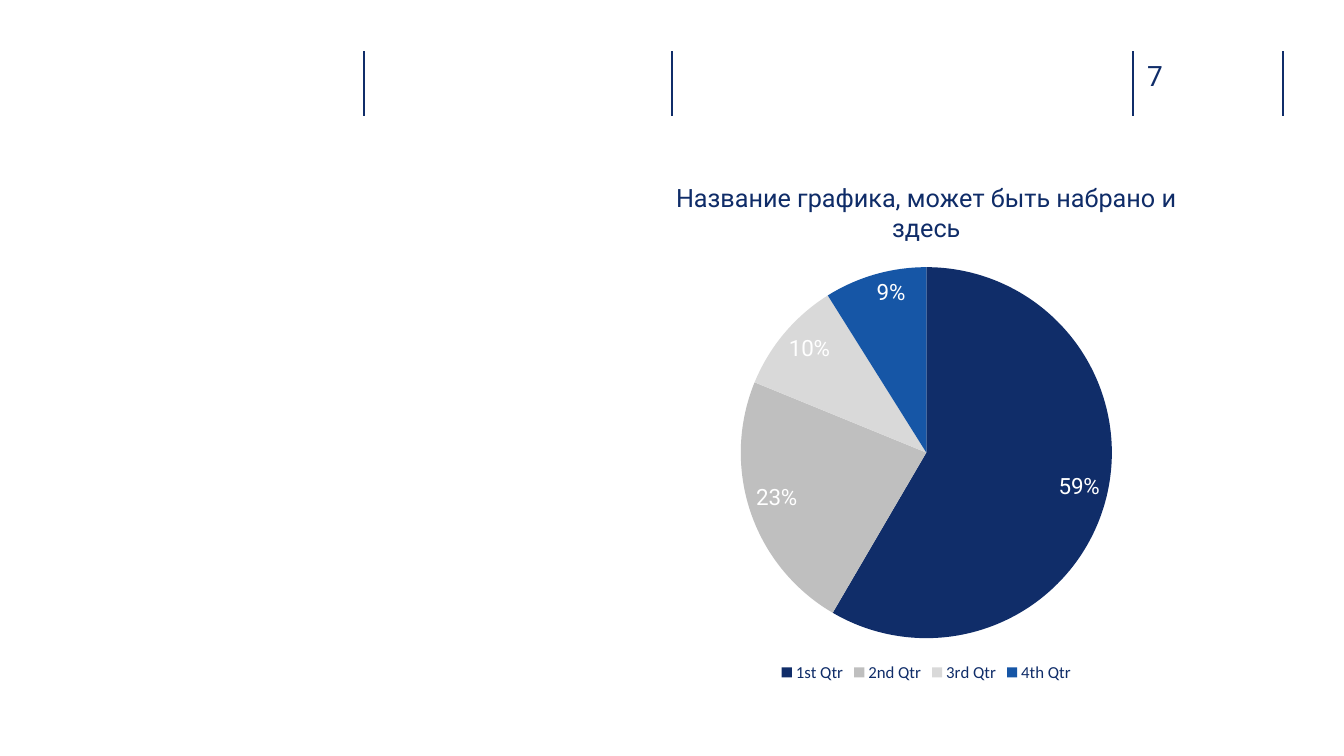
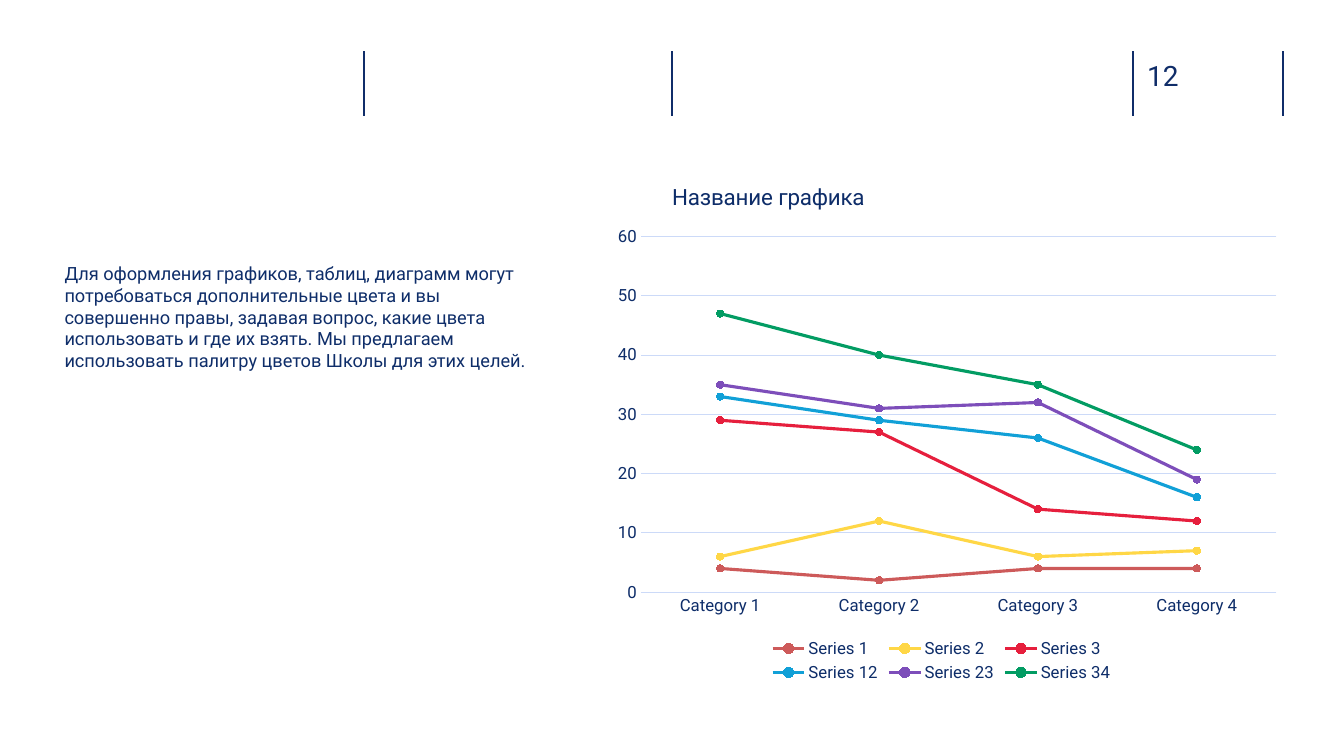
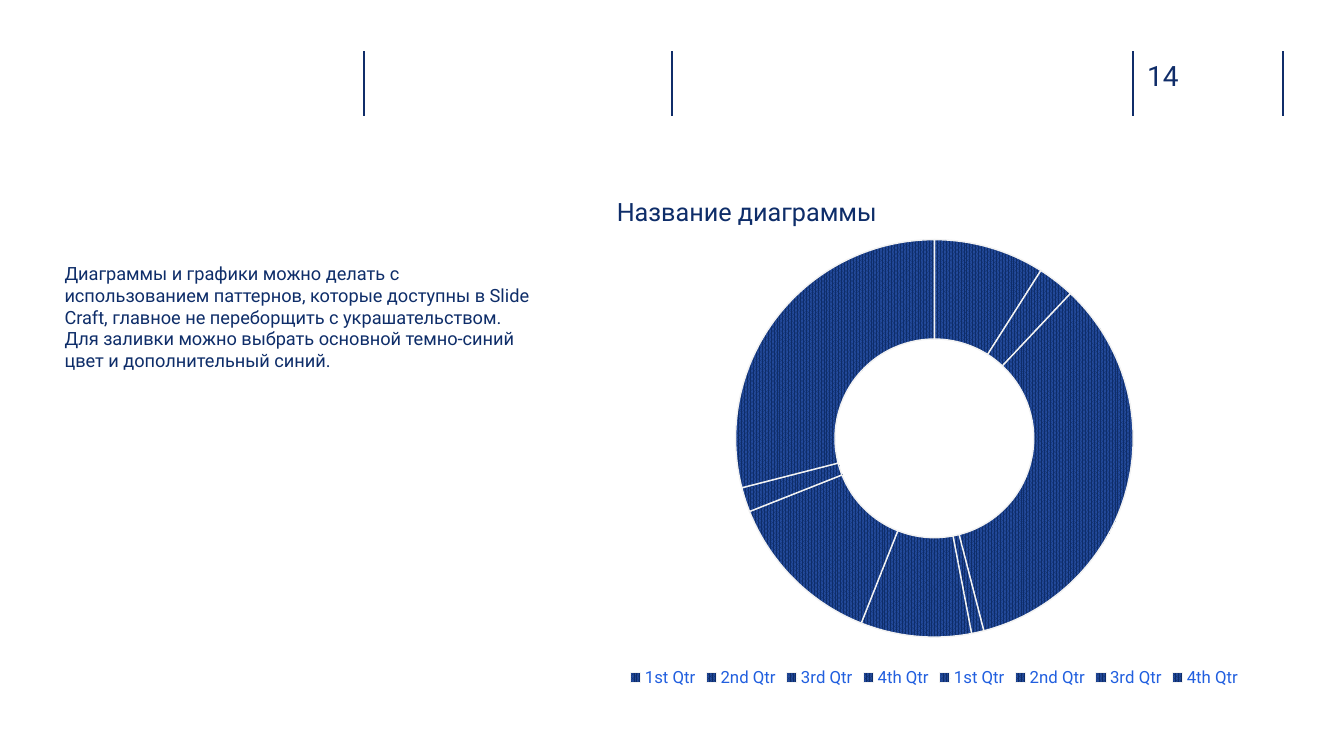
import dataclasses
import typing

import pptx
import pptx.chart.data
import pptx.dml.color
import pptx.enum.chart
import pptx.enum.dml
import pptx.enum.shapes
import pptx.oxml
import pptx.oxml.ns
import pptx.util

SLIDE_WIDTH = pptx.util.Inches(13.33)
SLIDE_HEIGHT = pptx.util.Inches(7.5)
COLUMNS, ROWS = 40, 30

NAVY = "102D69"
CHART_NAVY = "0F2C68"
TEXT_NAVY = "0E2D69"
PATTERN_BLUE = "234A9B"
LEGEND_BLUE = "215FDF"
PALE_BLUE = "CCDAF8"
PALE_GREY = "F2F2F2"
WHITE = "FFFFFF"
FONT = "Roboto"

RULE_COLUMNS = (10.83, 20, 33.72, 38.19)
RULE_ROWS = (2.04, 4.6)

ChartType = pptx.enum.chart.XL_CHART_TYPE


@dataclasses.dataclass(frozen=True)
class Box:
    """An area in columns and rows of the slide grid."""
    left: float
    top: float
    width: float
    height: float

    def lengths(self) -> tuple[int, int, int, int]:
        return (across(self.left), down(self.top), across(self.width), down(self.height))


@dataclasses.dataclass(frozen=True)
class TextStyle:
    size: float
    color: str = TEXT_NAVY
    name: str = FONT


@dataclasses.dataclass(frozen=True)
class Series:
    name: str
    values: tuple[int, ...]
    color: str = NAVY
    marker: str = NAVY


@dataclasses.dataclass(frozen=True)
class ChartPlan:
    """Chart content; plot and title places are shares of the chart area."""
    kind: ChartType
    box: Box
    title: str
    title_style: TextStyle
    base_style: TextStyle
    legend_style: TextStyle
    categories: tuple[str, ...]
    series: tuple[Series, ...]
    plot_place: dict[str, float]
    title_place: dict[str, float]
    finish: typing.Callable


@dataclasses.dataclass(frozen=True)
class SlidePlan:
    number: int
    chart: ChartPlan
    body: str = ""


NUMBER_BOX = Box(34.14, 2.32, 2.19, 1.36)
BODY_BOX = Box(1.92, 10.4, 14.19, 10.48)
NUMBER_STYLE = TextStyle(20, NAVY)
BODY_STYLE = TextStyle(13)
AXIS_STYLE = TextStyle(12)


def across(columns: float) -> int:
    return round(SLIDE_WIDTH * columns / COLUMNS)


def down(rows: float) -> int:
    return round(SLIDE_HEIGHT * rows / ROWS)


def rgb(color: str) -> pptx.dml.color.RGBColor:
    return pptx.dml.color.RGBColor.from_string(color)


def set_attributes(target, values: dict[str, typing.Any]) -> None:
    for name, value in values.items():
        setattr(target, name, value)


def style_font(font, style: TextStyle) -> None:
    set_attributes(font, {"size": pptx.util.Pt(style.size), "name": style.name, "bold": False})
    font.color.rgb = rgb(style.color)


def style_line(line, color: str, width: float) -> None:
    line.color.rgb = rgb(color)
    line.width = pptx.util.Pt(width)


def add_rules(slide, layout) -> None:
    """Draw the header rules and move them to the layout all slides share."""
    top, bottom = map(down, RULE_ROWS)
    for column in RULE_COLUMNS:
        left = across(column)
        rule = slide.shapes.add_connector(
            pptx.enum.shapes.MSO_CONNECTOR.STRAIGHT, left, top, left, bottom)
        style_line(rule.line, NAVY, 1)
        rule.element.spPr.append(pptx.oxml.parse_xml(
            f"<a:effectLst {pptx.oxml.ns.nsdecls('a')}/>"))
        layout.shapes.element.append(rule.element)


def add_text(slide, box: Box, text: str, style: TextStyle, bottom_inset: float = 0) -> None:
    frame = slide.shapes.add_textbox(*box.lengths()).text_frame
    set_attributes(frame, {
        "margin_left": 0, "margin_top": 0, "margin_right": 0,
        "margin_bottom": pptx.util.Inches(bottom_inset), "word_wrap": True})
    paragraph = frame.paragraphs[0]
    paragraph.text = text
    for run in paragraph.runs:
        style_font(run.font, style)


def place(element, shares: dict[str, float]) -> None:
    """Give a chart title or plot area a manual layout."""
    if not shares:
        return
    for layout in element.findall(pptx.oxml.ns.qn("c:layout")):
        element.remove(layout)
    target = '<c:layoutTarget val="inner"/>' if "w" in shares else ""
    modes = "".join(f'<c:{axis}Mode val="edge"/>' for axis in "xy")
    lengths = "".join(f'<c:{name} val="{share}"/>' for name, share in shares.items())
    layout = pptx.oxml.parse_xml(
        f"<c:layout {pptx.oxml.ns.nsdecls('c')}><c:manualLayout>"
        f"{target}{modes}{lengths}</c:manualLayout></c:layout>")
    element.insert(len(element.findall(pptx.oxml.ns.qn("c:tx"))), layout)


def finish_pie(chart, plan: ChartPlan) -> None:
    plot = chart.plots[0]
    plot.vary_by_categories = True
    for index, color in enumerate((NAVY, "BFBFBF", "D9D9D9", "1656A6")):
        fill = plot.series[0].points[index].format.fill
        fill.solid()
        fill.fore_color.rgb = rgb(color)
    plot.has_data_labels = True
    labels = plot.data_labels
    set_attributes(labels, {
        "show_value": True, "number_format": '0"%"', "number_format_is_linked": False,
        "position": pptx.enum.chart.XL_LABEL_POSITION.INSIDE_END})
    style_font(labels.font, TextStyle(16, WHITE))


def finish_lines(chart, plan: ChartPlan) -> None:
    chart.plots[0].vary_by_categories = False
    for axis in (chart.category_axis, chart.value_axis):
        axis.major_tick_mark = pptx.enum.chart.XL_TICK_MARK.NONE
        style_font(axis.tick_labels.font, AXIS_STYLE)
    style_line(chart.category_axis.format.line, PALE_BLUE, 0.75)
    set_attributes(chart.value_axis, {
        "minimum_scale": 0, "maximum_scale": 60, "major_unit": 10, "has_major_gridlines": True})
    chart.value_axis.format.line.fill.background()
    style_line(chart.value_axis.major_gridlines.format.line, PALE_BLUE, 0.75)
    for series, entry in zip(chart.plots[0].series, plan.series):
        series.smooth = False
        style_line(series.format.line, entry.color, 2.25)
        set_attributes(series.marker, {
            "style": pptx.enum.chart.XL_MARKER_STYLE.CIRCLE, "size": 5})
        series.marker.format.fill.solid()
        series.marker.format.fill.fore_color.rgb = rgb(entry.marker)
        style_line(series.marker.format.line, entry.marker, 0.75)


def finish_doughnut(chart, plan: ChartPlan) -> None:
    plot = chart.plots[0]
    plot.vary_by_categories = True
    for hole in chart.element.xpath(".//c:holeSize"):
        hole.set("val", "42")
    for index in range(len(plan.categories)):
        point = plot.series[0].points[index]
        fill = point.format.fill
        fill.patterned()
        fill.pattern = pptx.enum.dml.MSO_PATTERN.PERCENT_80
        fill.fore_color.rgb = rgb(TEXT_NAVY)
        fill.back_color.rgb = rgb(PATTERN_BLUE)
        style_line(point.format.line, PALE_GREY, 1)


def add_chart(slide, plan: ChartPlan) -> None:
    data = pptx.chart.data.CategoryChartData(number_format="0")
    data.categories = plan.categories
    for entry in plan.series:
        data.add_series(entry.name, entry.values)
    chart = slide.shapes.add_chart(plan.kind, *plan.box.lengths(), data).chart
    style_font(chart.font, plan.base_style)
    set_attributes(chart, {"has_title": True, "has_legend": True})
    title = chart.chart_title
    title.text_frame.text = plan.title
    style_font(title.text_frame.paragraphs[0].runs[0].font, plan.title_style)
    set_attributes(chart.legend, {
        "position": pptx.enum.chart.XL_LEGEND_POSITION.BOTTOM, "include_in_layout": False})
    style_font(chart.legend.font, plan.legend_style)
    plan.finish(chart, plan)
    place(chart.element.xpath(".//c:plotArea")[0], plan.plot_place)
    place(chart.element.xpath("./c:chart/c:title")[0], plan.title_place)


QUARTERS = ("1st Qtr", "2nd Qtr", "3rd Qtr", "4th Qtr")

PIE = ChartPlan(
    kind=ChartType.PIE,
    box=Box(16.95, 6.4, 21.24, 20.84),
    title="Название графика, может быть набрано и здесь",
    title_style=TextStyle(18, CHART_NAVY),
    base_style=TextStyle(10, CHART_NAVY, "Calibri"),
    legend_style=TextStyle(12, NAVY, "Calibri"),
    categories=QUARTERS,
    series=(Series("Series 1", (59, 23, 10, 9)),),
    plot_place={"x": 0.24, "y": 0.2, "w": 0.52, "h": 0.71},
    title_place={},
    finish=finish_pie,
)

LINES = ChartPlan(
    kind=ChartType.LINE_MARKERS_STACKED,
    box=Box(17.85, 6.48, 20.34, 20.76),
    title="Название графика",
    title_style=TextStyle(16),
    base_style=TextStyle(10, CHART_NAVY),
    legend_style=AXIS_STYLE,
    categories=tuple(f"Category {number}" for number in range(1, 5)),
    series=(
        Series("Series 1", (4, 2, 4, 4), "CD5A5A", "CD5A5A"),
        Series("Series 2", (2, 10, 2, 3), "FFD746", "FFD746"),
        Series("Series 3", (23, 15, 8, 5), "E61F3D", "E61F3D"),
        Series("Series 12", (4, 2, 12, 4), "11A0D7", "11A0D7"),
        Series("Series 23", (2, 2, 6, 3), "7D4EBA", "96628C"),
        Series("Series 34", (12, 9, 3, 5), "029C63", "029C63"),
    ),
    plot_place={"x": 0.06, "y": 0.14, "w": 0.93, "h": 0.68},
    title_place={"x": 0.1, "y": 0.03},
    finish=finish_lines,
)

DOUGHNUT = ChartPlan(
    kind=ChartType.DOUGHNUT,
    box=Box(17.61, 6.52, 20.4, 20.92),
    title="Название диаграммы",
    title_style=TextStyle(18),
    base_style=TextStyle(10, CHART_NAVY),
    legend_style=TextStyle(12, LEGEND_BLUE),
    categories=QUARTERS * 2,
    series=(Series("Series 1", (9, 3, 34, 1, 9, 13, 2, 29)),),
    plot_place={"x": 0.21, "y": 0.14, "w": 0.58, "h": 0.76},
    title_place={"x": 0.03, "y": 0.05},
    finish=finish_doughnut,
)

SLIDES = (
    SlidePlan(7, PIE),
    SlidePlan(12, LINES, (
        "Для оформления графиков, таблиц, диаграмм могут потребоваться дополнительные "
        "цвета и вы совершенно правы, задавая вопрос, какие цвета использовать и где их "
        "взять. Мы предлагаем использовать палитру цветов Школы для этих целей.")),
    SlidePlan(14, DOUGHNUT, (
        "Диаграммы и графики можно делать с использованием паттернов, которые доступны "
        "в Slide Craft, главное не переборщить с украшательством.\v"
        "Для заливки можно выбрать основной темно-синий цвет и дополнительный синий.")),
)


def main() -> None:
    presentation = pptx.Presentation()
    set_attributes(presentation, {"slide_width": SLIDE_WIDTH, "slide_height": SLIDE_HEIGHT})
    layout = presentation.slide_layouts.get_by_name("Blank")
    for plan in SLIDES:
        slide = presentation.slides.add_slide(layout)
        if plan is SLIDES[0]:
            add_rules(slide, layout)
        add_text(slide, NUMBER_BOX, str(plan.number), NUMBER_STYLE)
        if plan.body:
            add_text(slide, BODY_BOX, plan.body, BODY_STYLE, bottom_inset=0.05)
        add_chart(slide, plan.chart)
    presentation.save("out.pptx")


if __name__ == "__main__":
    main()
